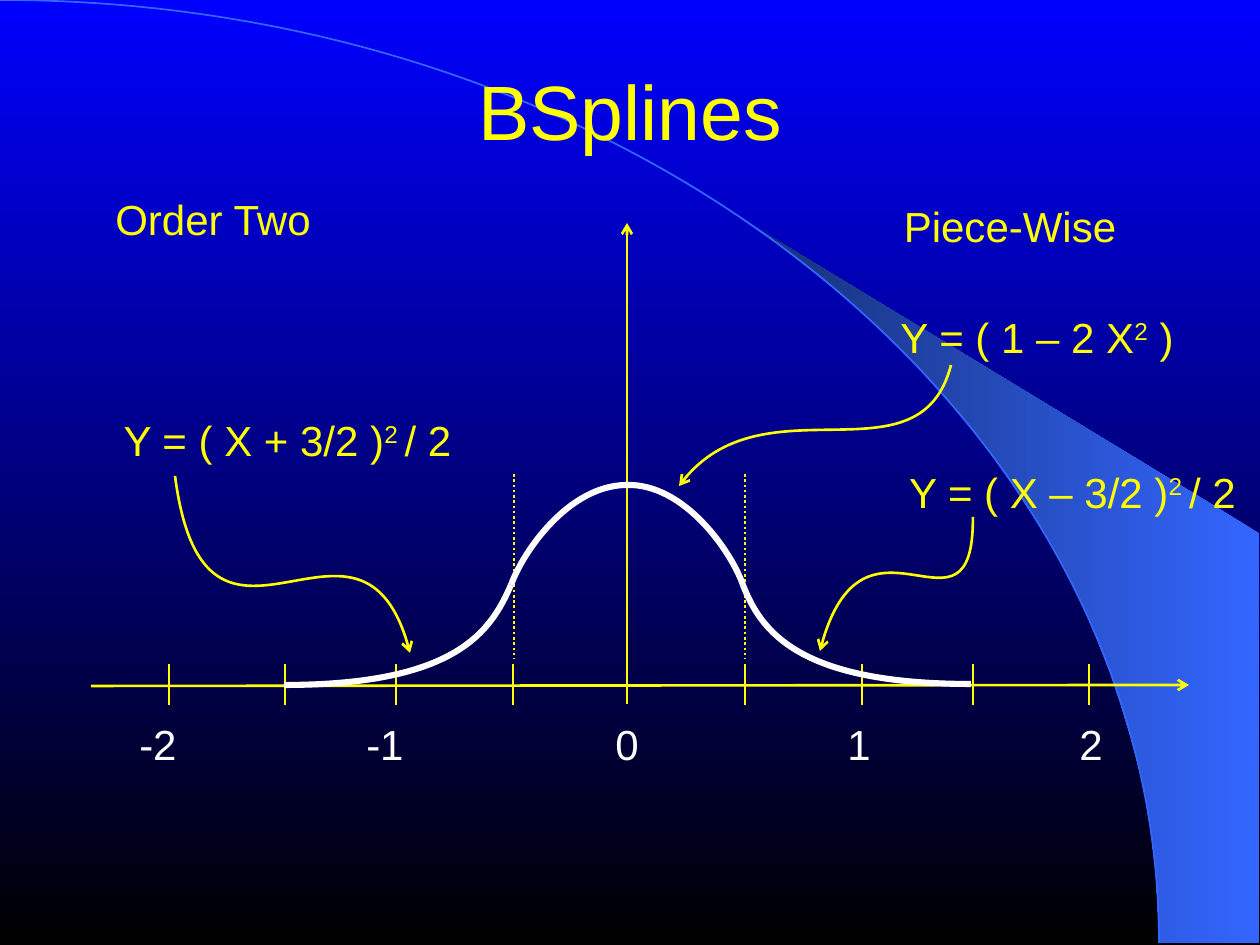
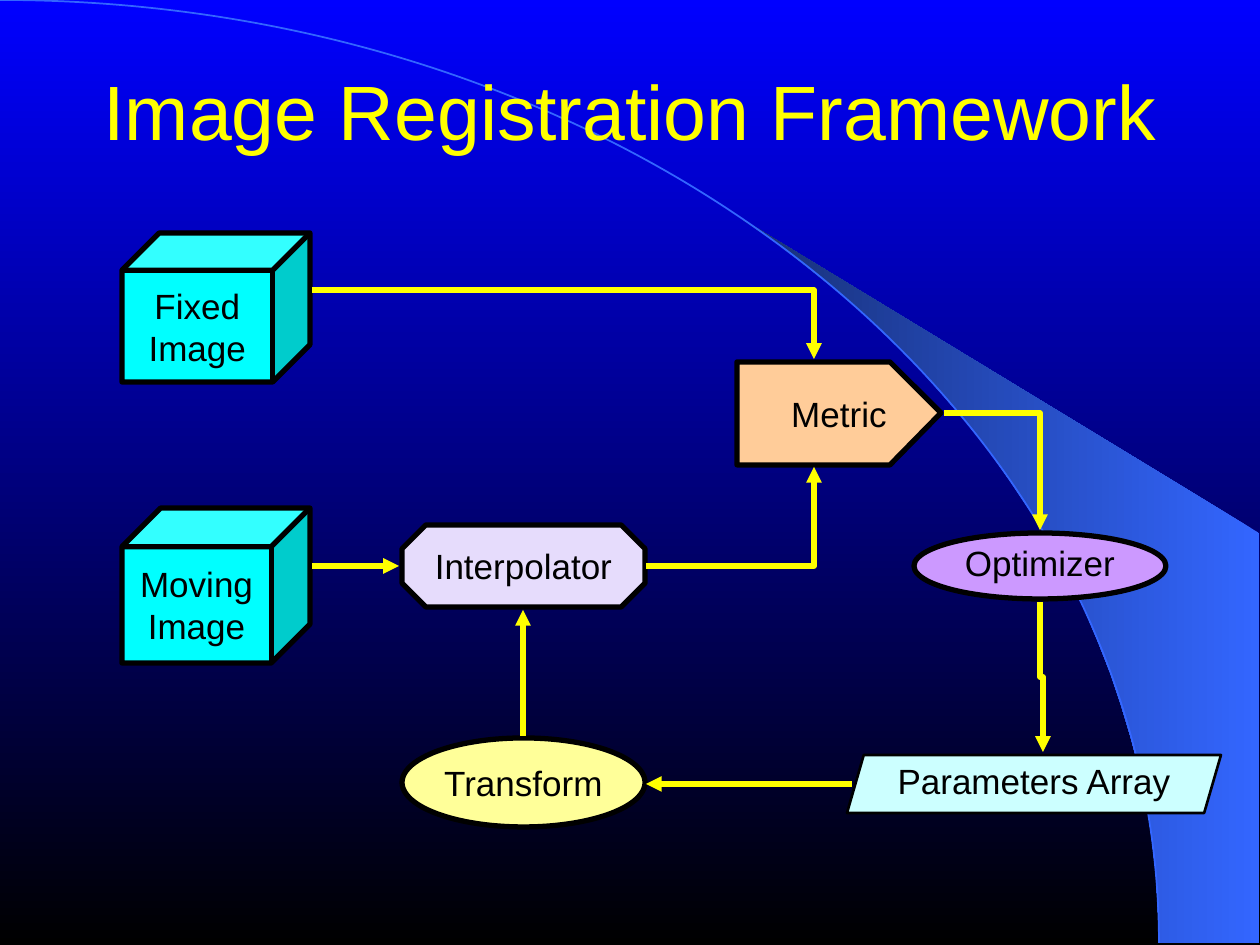
import math

from lxml import etree
from pptx import Presentation, util as u
from pptx.dml.color import RGBColor
from pptx.enum import dml, shapes as s, text as t
from pptx.oxml.ns import qn

PX = u.Inches(1) / 126
FONT = "Arial"
YELLOW, WHITE, BLACK = "FFFF00", "FFFFFF", "000000"
BLUE, NAVY, SKY = "0000FF", "172F75", "3366FF"

# Shared backdrop: a quarter ellipse and a wedge along its lower part
TITLE_BOX = (95, 15, 1071, 190)
ARC_WIDTH, ARC_HEIGHT = 1159, 943
ARC = [(1159, 943), (1159, 422), (640, 0), (0, 0)]
WEDGE_TIP, WEDGE_CORNERS = 742, [(1259, 943), (1259, 533)]

# Slide 1
AXIS_Y, AXIS_X = 686, 627
AXES = [((91, AXIS_Y), (1189, 685)), ((AXIS_X, 704), (AXIS_X, 223))]
TICK_CENTRE, TICK_OFFSETS = 629, (116, 233, 344, 460)
NUMBER_WIDTH = 90
AXIS_NUMBERS = [("-2", 158), ("-1", 385), ("0", 627), ("1", 859), ("2", 1091)]
LABELS = [
    ((72, 197, 282, 53), [("Order Two", 0)]),
    ((869, 204, 282, 53), [("Piece-Wise", 0)]),
    ((885, 470, 375, 53), [("Y = ( X – 3/2 )", 0), ("2 ", 30), ("/ 2", 0)]),
    ((879, 315, 316, 53), [("Y = ( 1 – 2 X", 0), ("2", 30), (" )", 0)]),
    ((100, 418, 375, 53), [("Y = ( X + 3/2 )", 0), ("2 ", 30), ("/ 2", 0)]),
]
POINTERS = [
    [(175, 476), (205, 706), (363, 466), (410, 653)],
    [(973, 517), (974, 655), (862, 485), (820, 651)],
    [(951, 365), (920, 485), (760, 374), (679, 486)],
]
SPLINE_PIECES = [
    [(511, 585), (523, 552), (568, 486), (626, 485), (684, 483), (731, 551), (743, 585)],
    [(743, 585), (761, 631), (798, 684), (971, 684)],
    [(511, 585), (491, 631), (457, 685), (284, 685)],
]
PIECE_BOUNDS = (514, 745)

# Slide 2: text, preset, box, adjustment, fill, line width, line spacing
PRESET = s.MSO_SHAPE
STAGES = [
    ("Fixed\nImage", PRESET.CUBE, (122, 233, 188, 149), 0.25, "00FFFF", 3, 1),
    ("Moving\nImage", PRESET.CUBE, (122, 508, 188, 155), 0.25, "00FFFF", 3, 1),
    ("Transform", PRESET.OVAL, (402, 738, 243, 89), None, "FFFF99", 3, 1),
    ("Interpolator", PRESET.OCTAGON, (402, 525, 243, 82), 0.29, "E6DCFC", 3, 1),
    ("Optimizer", PRESET.OVAL, (914, 533, 252, 66), None, "CC99FF", 3, 0.8),
    ("Parameters Array", PRESET.PARALLELOGRAM, (847, 755, 374, 58), 0.29, "CCFFFF", 1.5, 0.8),
]
METRIC = [(737, 362), (890, 362), (941, 413), (890, 465), (737, 465)]
CORNER_FLOWS = [((312, 290), (814, 359)), ((646, 566), (814, 467)), ((944, 413), (1040, 530))]
STRAIGHT_FLOWS = [((312, 566), (399, 566)), ((523, 736), (523, 610)), ((852, 784), (646, 784))]
STEP_FLOW = ((1040, 602), (1043, 752))


def emu(*lengths):
    return [round(length * PX) for length in lengths]


def rgb(hex_color):
    return RGBColor.from_string(hex_color)


def gradient(fill, first, last, angle):
    fill.gradient()
    fill.gradient_angle = angle
    for stop, color in zip(fill.gradient_stops, (first, last)):
        stop.color.rgb = rgb(color)


def outline(item, color, width, dash=None, arrow=None):
    item.line.color.rgb = rgb(color)
    item.line.width = u.Pt(width)
    if dash:
        item.line.dash_style = dash
    if arrow:
        ln = item._element.spPr.find(qn("a:ln"))
        etree.SubElement(ln, qn("a:tailEnd"), type=arrow)


def connect(slide, begin, end, width=1.5, kind=s.MSO_CONNECTOR.STRAIGHT, **ends):
    link = slide.shapes.add_connector(kind, *emu(*begin, *end))
    outline(link, YELLOW, width, **ends)
    etree.SubElement(link._element.spPr, qn("a:effectLst"))
    return link


def corner(slide, begin, end):
    """Connect sideways first, then up or down, with one bend."""
    link = connect(slide, begin, end, 3, s.MSO_CONNECTOR.ELBOW, arrow="triangle")
    link._element.spPr.find(qn("a:prstGeom")).set("prst", "bentConnector2")


def step_down(slide, begin, end):
    """Connect downwards with a sideways step halfway: an elbow turned a quarter."""
    (x1, y1), (x2, y2) = begin, end
    mid_x, mid_y = (x1 + x2) / 2, (y1 + y2) / 2
    half_w, half_h = (y2 - y1) / 2, (x2 - x1) / 2
    link = connect(slide, (mid_x + half_w, mid_y - half_h), (mid_x - half_w, mid_y + half_h),
                   3, s.MSO_CONNECTOR.ELBOW, arrow="triangle")
    link._element.spPr.find(qn("a:xfrm")).set("rot", str(270 * 60000))


def polygon(slide, points, close=True):
    builder = slide.shapes.build_freeform(*points[0], scale=PX)
    builder.add_line_segments(points[1:], close=close)
    figure = builder.convert_to_shape()
    figure.shadow.inherit = False
    return figure


def curve(slide, points, color, width, arrow=None):
    """Draw cubic Béziers: a start, then two handles and an end for each."""
    figure = polygon(slide, points, close=False)
    figure.fill.background()
    outline(figure, color, width, arrow=arrow)
    for segments in figure._element.iter(qn("a:path")):
        lines = segments.findall(qn("a:lnTo"))
        for i in range(0, len(lines), 3):
            bezier = etree.SubElement(segments, qn("a:cubicBezTo"))
            for line in lines[i:i + 3]:
                bezier.append(line[0])
                segments.remove(line)


def write(shape, runs, size, color, spacing=1, wrap=False, anchor=t.MSO_ANCHOR.MIDDLE):
    frame = shape.text_frame
    frame.word_wrap = wrap
    frame.vertical_anchor = anchor
    paragraph = frame.paragraphs[0]
    paragraph.alignment = t.PP_ALIGN.CENTER
    paragraph.line_spacing = spacing
    if isinstance(runs, str):
        paragraph.text = runs
    else:
        for words, raised in runs:
            run = paragraph.add_run()
            run.text = words
            if raised:
                run._r.get_or_add_rPr().set("baseline", str(raised * 1000))
    paragraph.font.name = FONT
    paragraph.font.size = u.Pt(size)
    paragraph.font.color.rgb = rgb(color)
    return frame


def label(slide, box, runs, color):
    write(slide.shapes.add_textbox(*emu(*box)), runs, 24, color, 0.8, True, t.MSO_ANCHOR.TOP)


def new_slide(prs, title):
    """Add a slide with the shared backdrop and title."""
    slide = prs.slides.add_slide(prs.slide_layouts[6])
    gradient(slide.background.fill, BLUE, BLACK, 270)

    tip_angle = math.asin(WEDGE_TIP / ARC_WIDTH)
    angles = [tip_angle + (math.pi / 2 - tip_angle) * i / 24 for i in range(25)]
    edge = [(ARC_WIDTH * math.sin(a), ARC_HEIGHT * (1 - math.cos(a))) for a in angles]
    wedge = polygon(slide, WEDGE_CORNERS + edge)
    gradient(wedge.fill, SKY, NAVY, 180)
    wedge.line.fill.background()
    curve(slide, ARC, SKY, 1)

    heading = slide.shapes.add_textbox(*emu(*TITLE_BOX))
    frame = write(heading, title, 44, YELLOW, wrap=True)
    frame.margin_left = frame.margin_right = frame.margin_top = frame.margin_bottom = 0
    return slide


def build_splines(prs):
    slide = new_slide(prs, "BSplines")
    for begin, end in AXES:
        connect(slide, begin, end, arrow="arrow")
    for offset in TICK_OFFSETS:
        for x in (TICK_CENTRE - offset, TICK_CENTRE + offset):
            connect(slide, (x, 705), (x, 664))
    for number, x in AXIS_NUMBERS:
        label(slide, (x - NUMBER_WIDTH / 2, 722, NUMBER_WIDTH, 53), number, WHITE)
    for box, runs in LABELS:
        label(slide, box, runs, YELLOW)
    for points in POINTERS:
        curve(slide, points, YELLOW, 1.5, "arrow")
    for x in PIECE_BOUNDS:
        connect(slide, (x, 474), (x, 659), dash=dml.MSO_LINE.ROUND_DOT)
    for points in SPLINE_PIECES:
        curve(slide, points, WHITE, 3.5)


def build_framework(prs):
    slide = new_slide(prs, "Image Registration Framework")

    def finish(stage, name, color, width, spacing):
        stage.shadow.inherit = False
        stage.fill.solid()
        stage.fill.fore_color.rgb = rgb(color)
        outline(stage, BLACK, width)
        write(stage, name, 20, BLACK, spacing)

    for name, preset, box, adjustment, color, width, spacing in STAGES:
        stage = slide.shapes.add_shape(preset, *emu(*box))
        if adjustment:
            stage.adjustments[0] = adjustment
        finish(stage, name, color, width, spacing)
    finish(polygon(slide, METRIC), "Metric", "FFCC99", 3, 1)

    for begin, end in CORNER_FLOWS:
        corner(slide, begin, end)
    for begin, end in STRAIGHT_FLOWS:
        connect(slide, begin, end, 3, arrow="triangle")
    step_down(slide, *STEP_FLOW)


def main():
    prs = Presentation()
    prs.slide_width, prs.slide_height = u.Inches(10), u.Inches(7.5)
    build_splines(prs)
    build_framework(prs)
    prs.save("out.pptx")


if __name__ == "__main__":
    main()
